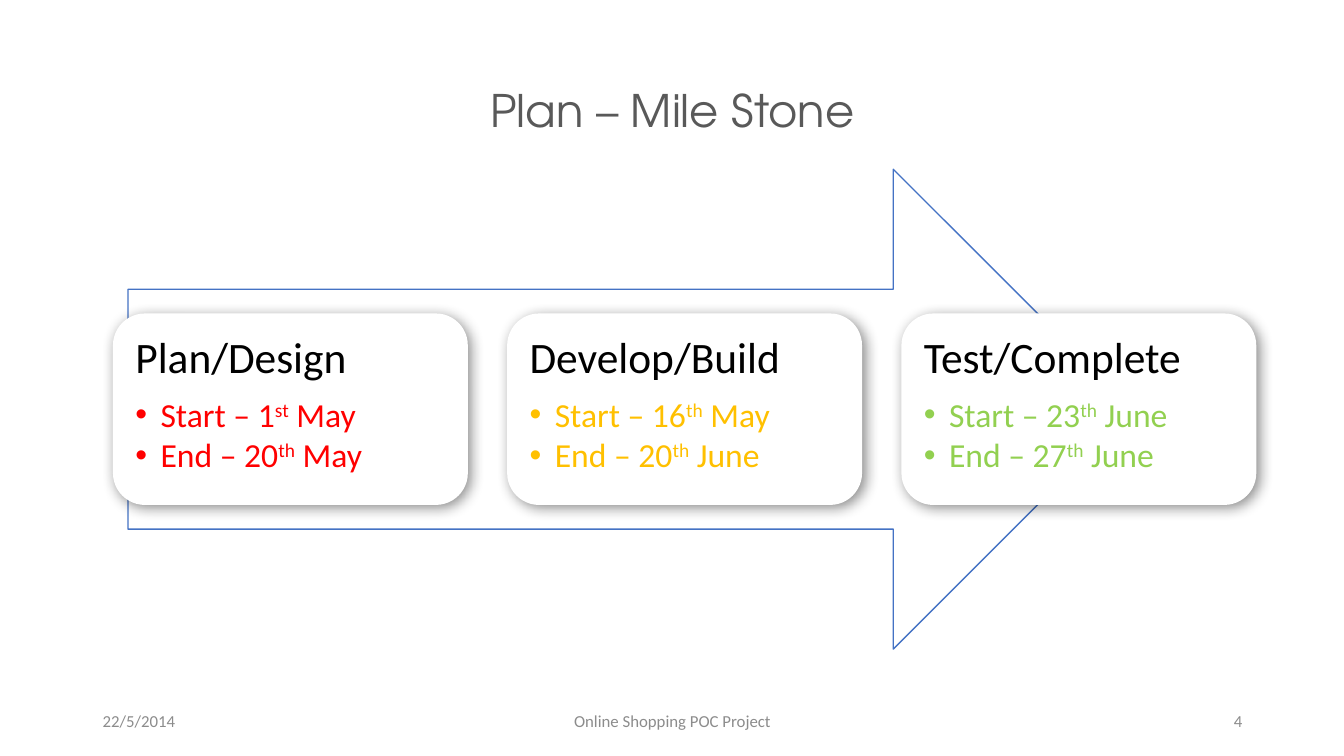
from lxml import etree
from pptx import Presentation
from pptx.dml.color import RGBColor
from pptx.enum.shapes import MSO_SHAPE
from pptx.enum.text import MSO_ANCHOR, PP_ALIGN
from pptx.oxml.ns import qn
from pptx.util import Inches, Pt

ARROW, CARD = MSO_SHAPE.RIGHT_ARROW, MSO_SHAPE.ROUNDED_RECTANGLE
TOP, MIDDLE = MSO_ANCHOR.TOP, MSO_ANCHOR.MIDDLE
LEFT, CENTER, RIGHT = PP_ALIGN.LEFT, PP_ALIGN.CENTER, PP_ALIGN.RIGHT

COLORS = {
    "white": "FFFFFF", "black": "000000", "title": "595959", "foot": "8C8C8C",
    "blue": "4472C4", "red": "FF0000", "gold": "FFC000", "green": "92D050",
}
BODY, HEAD = "Calibri", "TeX Gyre Adventor"

LABELS = [
    ("Plan – Mile Stone", (0.92, 0.4, 11.5, 1.45), CENTER, 32, HEAD, "title"),
    ("22/5/2014", (0.92, 6.95, 3, 0.4), LEFT, 12, BODY, "foot"),
    ("Online Shopping POC Project", (4.42, 6.95, 4.5, 0.4), CENTER, 12, BODY, "foot"),
    ("4", (9.42, 6.95, 3, 0.4), RIGHT, 12, BODY, "foot"),
]
PHASES = [
    ("Plan/Design", "red", [("Start – 1", "st", " May"), ("End – 20", "th", " May")]),
    ("Develop/Build", "gold", [("Start – 16", "th", " May"), ("End – 20", "th", " June")]),
    ("Test/Complete", "green", [("Start – 23", "th", " June"), ("End – 27", "th", " June")]),
]
ARROW_BOX = (1.27, 1.68, 9.97, 4.76)
CARD_X, CARD_Y, CARD_W, CARD_H, STEP = 1.12, 3.11, 3.52, 1.9, 3.91
PAD, INDENT = 0.13, 0.25


def tint(name):
    return RGBColor.from_string(COLORS[name])


def add_run(para, text, size, font, color):
    run = para.add_run()
    run.text = text
    run.font.size = Pt(size)
    run.font.name = font
    run.font.color.rgb = tint(color)
    return run


def add_label(slide, text, box, align, size, font, color):
    frame = slide.shapes.add_textbox(*map(Inches, box)).text_frame
    frame.word_wrap = True
    frame.vertical_anchor = MIDDLE
    para = frame.paragraphs[0]
    para.alignment = align
    para.line_spacing = 0.9 if font == HEAD else 1.0
    add_run(para, text, size, font, color)


def add_block(slide, kind, box):
    shape = slide.shapes.add_shape(kind, *map(Inches, box))
    shape.shadow.inherit = False
    shape.fill.solid()
    shape.fill.fore_color.rgb = tint("white")
    return shape


def add_shadow(shape):
    effects = shape._element.spPr.find(qn("a:effectLst"))
    outer = etree.SubElement(
        effects, qn("a:outerShdw"), blurRad=str(Pt(10)), dist=str(Pt(3)),
        dir="2700000", algn="tl", rotWithShape="0")
    color = etree.SubElement(outer, qn("a:srgbClr"), val=COLORS["black"])
    etree.SubElement(color, qn("a:alpha"), val="45000")


def style_para(para, after):
    para.alignment = LEFT
    para.line_spacing = 0.9
    para.space_after = Pt(after)


def add_bullet(frame, parts, color):
    para = frame.add_paragraph()
    style_para(para, 3)
    props = para._p.get_or_add_pPr()
    props.set("marL", str(Inches(INDENT)))
    props.set("indent", str(-Inches(INDENT)))
    etree.SubElement(props, qn("a:buFont"), typeface="Arial")
    etree.SubElement(props, qn("a:buChar"), char="•")
    runs = [add_run(para, part, 24, BODY, color) for part in parts]
    runs[1].font._element.set("baseline", "30000")


def add_phase(slide, index, name, color, dates):
    box = (CARD_X + index * STEP, CARD_Y, CARD_W, CARD_H)
    card = add_block(slide, CARD, box)
    card.line.fill.background()
    add_shadow(card)
    frame = card.text_frame
    frame.word_wrap = True
    frame.vertical_anchor = TOP
    frame.margin_left = frame.margin_right = Inches(PAD)
    frame.margin_top = frame.margin_bottom = Inches(PAD)
    para = frame.paragraphs[0]
    style_para(para, 11)
    add_run(para, name, 31, BODY, "black")
    for parts in dates:
        add_bullet(frame, parts, color)


def main():
    deck = Presentation()
    deck.slide_width, deck.slide_height = Inches(13.33), Inches(7.5)
    slide = deck.slides.add_slide(deck.slide_layouts[6])
    arrow = add_block(slide, ARROW, ARROW_BOX)
    arrow.line.color.rgb = tint("blue")
    arrow.line.width = Pt(1)
    for index, phase in enumerate(PHASES):
        add_phase(slide, index, *phase)
    for label in LABELS:
        add_label(slide, *label)
    deck.save("out.pptx")


if __name__ == "__main__":
    main()
